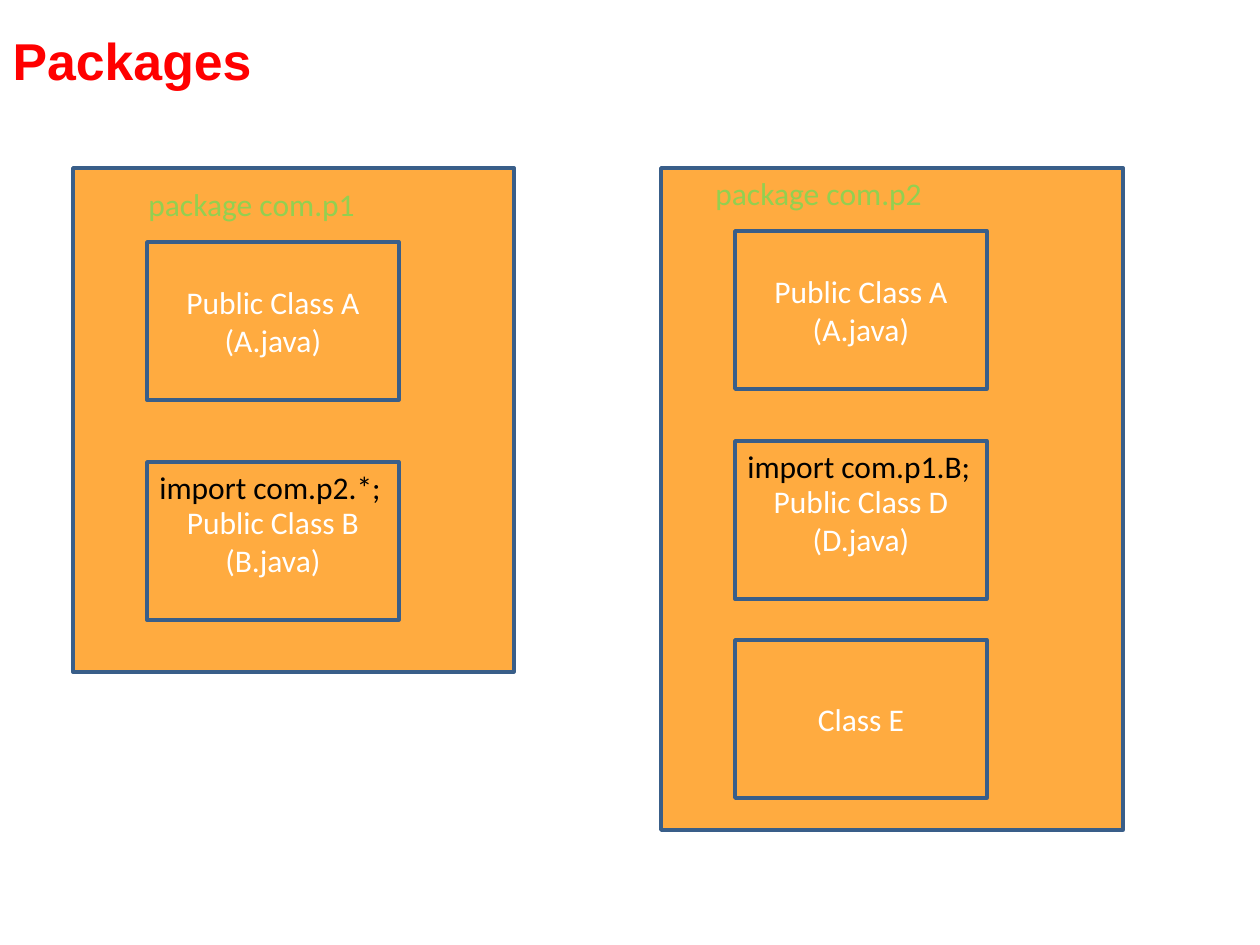
from pptx import Presentation
from pptx.dml.color import RGBColor
from pptx.enum.shapes import MSO_SHAPE
from pptx.enum.text import MSO_ANCHOR, MSO_AUTO_SIZE, PP_ALIGN
from pptx.util import Emu, Pt

RED = RGBColor(0xFF, 0x00, 0x00)
ORANGE = RGBColor(0xFF, 0xAB, 0x40)
BLUE = RGBColor(0x39, 0x5E, 0x89)
GREEN = RGBColor(0x92, 0xD0, 0x50)
WHITE = RGBColor(0xFF, 0xFF, 0xFF)
BLACK = RGBColor(0x00, 0x00, 0x00)

PIXELS_PER_INCH = 126
CLASS_WIDTH, CLASS_HEIGHT = 252, 158
LABEL_HEIGHT = 50


def px(*lengths):
    return [Emu(round(length * 914400 / PIXELS_PER_INCH)) for length in lengths]


def add_box(bounds, lines, color, framed):
    """Add a framed orange rectangle with centred text, or a plain label."""
    if framed:
        shape = slide.shapes.add_shape(MSO_SHAPE.RECTANGLE, *px(*bounds))
        shape.shadow.inherit = False
        shape.fill.solid()
        shape.fill.fore_color.rgb = ORANGE
        shape.line.color.rgb = BLUE
        shape.line.width = Pt(2)
    else:
        shape = slide.shapes.add_textbox(*px(*bounds))
    frame = shape.text_frame
    frame.word_wrap = True
    frame.vertical_anchor = MSO_ANCHOR.MIDDLE if framed else MSO_ANCHOR.TOP
    frame.text = "\n".join(lines)
    for paragraph in frame.paragraphs:
        paragraph.alignment = PP_ALIGN.CENTER if framed else PP_ALIGN.LEFT
        paragraph.font.name = "Calibri"
        paragraph.font.size = Pt(18)
        paragraph.font.color.rgb = color


presentation = Presentation()
presentation.slide_width, presentation.slide_height = px(1260, 945)
slide = presentation.slides.add_slide(presentation.slide_layouts[5])

title = slide.shapes.title
title.left, title.top, title.width, title.height = px(0, 34, 1187, 50)
title.text_frame.text = "Packages"
title.text_frame.auto_size = MSO_AUTO_SIZE.NONE
title.text_frame.vertical_anchor = MSO_ANCHOR.TOP
paragraph = title.text_frame.paragraphs[0]
paragraph.alignment = PP_ALIGN.JUSTIFY
paragraph.line_spacing = 0.8
paragraph.font.name = "Arial"
paragraph.font.size = Pt(29.6)
paragraph.font.bold = True
paragraph.font.color.rgb = RED

# package name, panel bounds, label position, left of the classes,
# then each class as top, lines, import
packages = [
    ("package com.p1", (73, 168, 441, 504), (136, 179), 147, [
        (242, ["Public Class A", "(A.java)"], None),
        (462, ["Public Class B", "(B.java)"], "import com.p2.*;"),
    ]),
    ("package com.p2", (661, 168, 462, 662), (703, 168), 735, [
        (231, ["Public Class A", "(A.java)"], None),
        (441, ["Public Class D", "(D.java)"], "import com.p1.B;"),
        (640, ["Class E"], None),
    ]),
]

for name, panel, label, left, classes in packages:
    add_box(panel, [], WHITE, framed=True)
    for top, lines, import_line in classes:
        add_box((left, top, CLASS_WIDTH, CLASS_HEIGHT), lines, WHITE, framed=True)
        if import_line:
            add_box((left, top, 262, LABEL_HEIGHT), [import_line], BLACK, framed=False)
    add_box((*label, 378, LABEL_HEIGHT), [name], GREEN, framed=False)

presentation.save("out.pptx")
